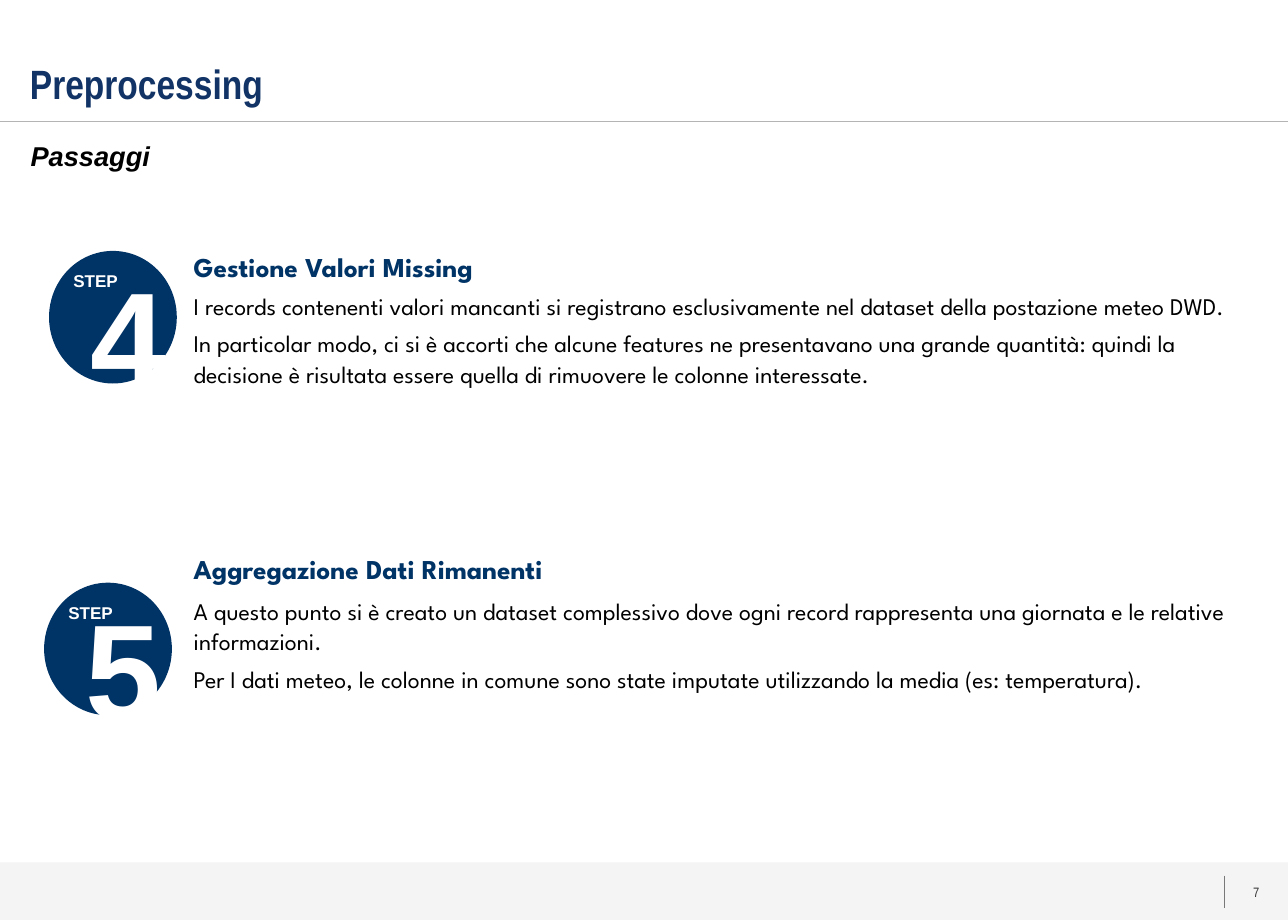
from dataclasses import dataclass

from lxml.etree import SubElement
from pptx import Presentation
from pptx.dml.color import RGBColor
from pptx.enum.shapes import MSO_CONNECTOR, MSO_SHAPE
from pptx.enum.text import MSO_ANCHOR, MSO_AUTO_SIZE, PP_ALIGN
from pptx.oxml.ns import qn
from pptx.util import Pt

TITLE = "Preprocessing"
SUBTITLE = "Passaggi"
PAGE_NUMBER = "7"
STEP_LABEL = "STEP"
STEPS = [
    {
        "number": "4",
        "badge": (28.8, 147.3),
        "text_top": 141.6,
        "heading_gap": 4.2,
        "heading": "Gestione Valori Missing",
        "body": [
            "I records contenenti valori mancanti si registrano esclusivamente nel dataset della postazione meteo DWD.",
            "In particolar modo, ci si è accorti che alcune features ne presentavano una grande quantità: quindi la "
            "decisione è risultata essere quella di rimuovere le colonne interessate.",
        ],
    },
    {
        "number": "5",
        "badge": (25.9, 342),
        "text_top": 319,
        "heading_gap": 6,
        "heading": "Aggregazione Dati Rimanenti",
        "body": [
            "A questo punto si è creato un dataset complessivo dove ogni record rappresenta una giornata e le relative "
            "informazioni.",
            "Per I dati meteo, le colonne in comune sono state imputate utilizzando la media (es: temperatura).",
        ],
    },
]

WIDTH, HEIGHT = 756, 540
FOOTER_TOP = 506.2
RULE_TOP = 71.3
DIVIDER_LEFT = 718.6


@dataclass(frozen=True)
class Style:
    """Font, size, colour and weight of a run."""

    font: str
    size: float
    color: str
    bold: bool = False
    italic: bool = False


class Theme:
    """Colours and type styles of the slide."""

    navy = "003366"
    footer = "C8C8C8"
    footer_opacity = 20
    divider = "787878"
    rule = "B4B4B4"
    title = Style("Arial Narrow", 24, "113365", True)
    subtitle = Style("Arial", 16, "000000", True, True)
    page_number = Style("Arial Narrow", 8, "333333")
    digit = Style("Arial", 80, "FFFFFF", True)
    label = Style("Arial", 10, "FFFFFF", True)
    heading = Style("League Spartan", 16, navy, True)
    body = Style("League Spartan", 14, "000000")


def place(box, left, top, width, height):
    """Move and size a shape, in points."""
    box.left, box.top, box.width, box.height = Pt(left), Pt(top), Pt(width), Pt(height)


def set_frame(box, inset, wrap=True, anchor=MSO_ANCHOR.TOP):
    """Set insets, wrapping and anchor of a text frame."""
    frame = box.text_frame
    frame.auto_size = MSO_AUTO_SIZE.NONE
    frame.word_wrap = wrap
    frame.vertical_anchor = anchor
    frame.margin_left = frame.margin_right = Pt(inset[0])
    frame.margin_top = frame.margin_bottom = Pt(inset[1])
    return frame


def write(para, text, style, align=PP_ALIGN.LEFT, spacing=None, after=0):
    """Add one styled run to a paragraph."""
    para.alignment = align
    para.space_before = Pt(0)
    para.space_after = Pt(after)
    if spacing:
        para.line_spacing = spacing
    span = para.add_run()
    span.text = text
    font = span.font
    font.name, font.size = style.font, Pt(style.size)
    font.bold, font.italic = style.bold, style.italic
    font.color.rgb = RGBColor.from_string(style.color)


def add_label(shapes, bounds, text, style, inset, wrap=True, anchor=MSO_ANCHOR.TOP, **layout):
    """Add a text box with a single paragraph."""
    box = shapes.add_textbox(*map(Pt, bounds))
    frame = set_frame(box, inset, wrap, anchor)
    write(frame.paragraphs[0], text, style, **layout)


def add_plain_shape(shapes, kind, bounds, color):
    """Add a filled shape without outline or shadow."""
    shape = shapes.add_shape(kind, *map(Pt, bounds))
    shape.shadow.inherit = False
    shape.fill.solid()
    shape.fill.fore_color.rgb = RGBColor.from_string(color)
    shape.line.fill.background()
    return shape


def add_rule(shapes, ends, color):
    """Add a thin straight line."""
    line = shapes.add_connector(MSO_CONNECTOR.STRAIGHT, *map(Pt, ends))
    line.line.color.rgb = RGBColor.from_string(color)
    line.line.width = Pt(0.75)
    SubElement(line._element.spPr, qn("a:effectLst"))


def add_footer(shapes):
    """Add the footer band, its divider and the page number."""
    band = add_plain_shape(
        shapes, MSO_SHAPE.RECTANGLE, (0, FOOTER_TOP, WIDTH, HEIGHT - FOOTER_TOP), Theme.footer
    )
    color = band._element.spPr.find(qn("a:solidFill"))[0]
    SubElement(color, qn("a:alpha"), val=str(Theme.footer_opacity * 1000))
    add_rule(shapes, (DIVIDER_LEFT, 514, DIVIDER_LEFT, 533), Theme.divider)
    add_label(
        shapes, (DIVIDER_LEFT, 514.8, WIDTH - DIVIDER_LEFT, 19.4), PAGE_NUMBER, Theme.page_number,
        (7.2, 3.6), anchor=MSO_ANCHOR.MIDDLE, align=PP_ALIGN.CENTER, spacing=0.85,
    )


def add_title(page):
    """Fill the title, its rule and the subtitle."""
    box = page.shapes.title
    place(box, 12.6, 0, WIDTH - 12.6, 65.5)
    frame = set_frame(box, (5, 2.2), anchor=MSO_ANCHOR.BOTTOM)
    write(frame.paragraphs[0], TITLE, Theme.title, spacing=Pt(27.8))
    add_rule(page.shapes, (0, RULE_TOP, WIDTH, RULE_TOP), Theme.rule)
    add_label(page.shapes, (18, 81.6, 493, 25), SUBTITLE, Theme.subtitle, (0, 0))


def add_step(shapes, step):
    """Add the badge and the text of one step."""
    left, top = step["badge"]
    badge = shapes.add_group_shape().shapes
    add_plain_shape(badge, MSO_SHAPE.OVAL, (left, top, 75, 77.8), Theme.navy)
    labels = [
        ((left + 20.2, top - 3.3, 53.3, 104.4), step["number"], Theme.digit),
        ((left + 10, top + 7.2, 34.6, 20.9), STEP_LABEL, Theme.label),
    ]
    for bounds, text, style in labels:
        add_label(badge, bounds, text, style, (4.3, 4.3), wrap=False, align=PP_ALIGN.CENTER)

    box = shapes.add_textbox(Pt(109.4), Pt(step["text_top"]), Pt(630.7), Pt(109))
    frame = set_frame(box, (4.3, 4.3))
    write(frame.paragraphs[0], step["heading"], Theme.heading, spacing=1.05, after=step["heading_gap"])
    for text in step["body"]:
        write(frame.add_paragraph(), text, Theme.body, spacing=1.05, after=4.5)


def main():
    """Build and save the slide."""
    deck = Presentation()
    deck.slide_width, deck.slide_height = Pt(WIDTH), Pt(HEIGHT)
    page = deck.slides.add_slide(deck.slide_layouts[5])
    add_footer(page.shapes)
    add_title(page)
    for step in STEPS:
        add_step(page.shapes, step)
    deck.save("out.pptx")


if __name__ == "__main__":
    main()
